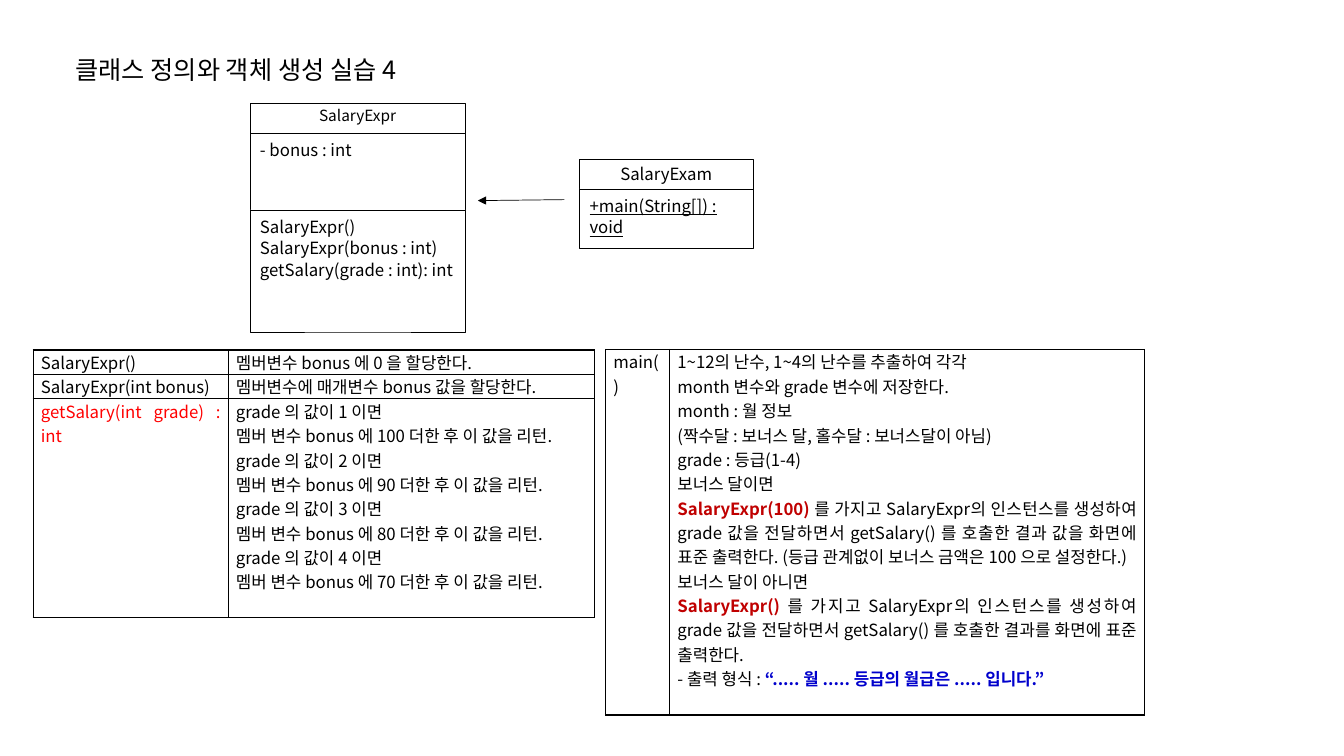
import dataclasses
from typing import Any

import lxml.etree
import pptx
import pptx.dml.color
import pptx.enum.shapes
import pptx.enum.text
import pptx.oxml.ns
import pptx.util

Pt = pptx.util.Pt
qn = pptx.oxml.ns.qn
ALIGN = pptx.enum.text.PP_ALIGN
ANCHOR = pptx.enum.text.MSO_ANCHOR
FIT = pptx.enum.text.MSO_AUTO_SIZE


@dataclasses.dataclass(frozen=True)
class Theme:
    """Colours, font and sizes of the slide."""
    font: str = "Noto Sans CJK KR"
    ink: str = "000000"
    paper: str = "FFFFFF"
    changed: str = "FF0000"
    call: str = "C00000"
    output: str = "0000CC"
    title_size: float = 18
    body_size: float = 12
    box_line: float = 0.5
    grid_line: float = 1


THEME = Theme()


@dataclasses.dataclass(frozen=True)
class Span:
    """A stretch of text in one format."""
    text: str
    color: str = THEME.ink
    bold: bool = False
    underline: bool = False


Line = list[Span]


@dataclasses.dataclass(frozen=True)
class UmlClass:
    """A class box: its name above stacked (height, lines) compartments."""
    name: str
    left: float
    top: float
    width: float
    compartments: list[tuple[float, list[Line]]]


@dataclasses.dataclass(frozen=True)
class MethodTable:
    """A grid that explains methods, one row each."""
    left: float
    top: float
    widths: list[float]
    heights: list[float]
    rows: list[list[list[Line]]]


def plain(*texts: str, **style: Any) -> list[Line]:
    """Make one single-span line of each text."""
    return [[Span(text, **style)] for text in texts]


def assign(target: Any, values: dict[str, Any]) -> None:
    """Set the named attributes of the target."""
    for name, value in values.items():
        setattr(target, name, value)


def rgb(color: str) -> pptx.dml.color.RGBColor:
    """Turn a hex string into a colour."""
    return pptx.dml.color.RGBColor.from_string(color)


def write(frame: Any, lines: list[Line], size: float, layout: dict[str, Any]) -> None:
    """Fill a text frame with lines, all laid out alike."""
    for index, line in enumerate(lines):
        paragraph = frame.paragraphs[0] if index == 0 else frame.add_paragraph()
        assign(paragraph, layout)
        for span in line:
            run = paragraph.add_run()
            run.text = span.text
            assign(run.font, {"name": THEME.font, "size": Pt(size),
                              "bold": span.bold, "underline": span.underline})
            run.font.color.rgb = rgb(span.color)
            lxml.etree.SubElement(run.font._element, qn("a:ea"), typeface=THEME.font)


def draw_title(slide: Any, text: str) -> None:
    """Place and format the title placeholder."""
    title = slide.shapes.title
    assign(title, {"left": Pt(46.8), "top": Pt(35.3), "width": Pt(287.3), "height": Pt(28.8)})
    assign(title.text_frame, {"word_wrap": False, "auto_size": FIT.NONE,
                              "vertical_anchor": ANCHOR.MIDDLE})
    write(title.text_frame, plain(text), THEME.title_size, {"alignment": ALIGN.LEFT})


def draw_class(slide: Any, uml: UmlClass) -> None:
    """Stack the name box and the compartments of a class."""
    top = uml.top
    header = (21.2, plain(uml.name))
    for index, (height, lines) in enumerate([header, *uml.compartments]):
        box = slide.shapes.add_shape(pptx.enum.shapes.MSO_SHAPE.RECTANGLE,
                                     Pt(uml.left), Pt(top), Pt(uml.width), Pt(height))
        box.shadow.inherit = False
        box.fill.solid()
        box.fill.fore_color.rgb = rgb(THEME.paper)
        box.line.color.rgb = rgb(THEME.ink)
        box.line.width = Pt(THEME.box_line)
        assign(box.text_frame, {"word_wrap": True, "vertical_anchor": ANCHOR.TOP,
                                "auto_size": FIT.TEXT_TO_FIT_SHAPE})
        layout = {"alignment": ALIGN.LEFT if index else ALIGN.CENTER, "line_spacing": 1.07}
        write(box.text_frame, lines, THEME.body_size, layout)
        top += height


def draw_use(slide: Any, start: tuple[float, float], end: tuple[float, float]) -> None:
    """Draw the arrow from the using class to the used one."""
    arrow = slide.shapes.add_connector(pptx.enum.shapes.MSO_CONNECTOR.STRAIGHT,
                                       *map(Pt, start + end))
    arrow.line.color.rgb = rgb(THEME.ink)
    arrow.line.width = Pt(THEME.box_line)
    properties = arrow._element.spPr
    lxml.etree.SubElement(properties.find(qn("a:ln")), qn("a:tailEnd"), type="triangle")
    lxml.etree.SubElement(properties, qn("a:effectLst"))


def draw_borders(cell: Any) -> None:
    """Rule all four sides of a cell."""
    properties = cell._tc.get_or_add_tcPr()
    for side in ("a:lnL", "a:lnR", "a:lnT", "a:lnB"):
        border = lxml.etree.SubElement(properties, qn(side), w=str(Pt(THEME.grid_line)))
        fill = lxml.etree.SubElement(border, qn("a:solidFill"))
        lxml.etree.SubElement(fill, qn("a:srgbClr"), val=THEME.ink)


def draw_table(slide: Any, methods: MethodTable) -> None:
    """Draw a ruled, unfilled table."""
    table = slide.shapes.add_table(
        len(methods.rows), len(methods.widths), Pt(methods.left), Pt(methods.top),
        Pt(sum(methods.widths)), Pt(sum(methods.heights))).table
    assign(table, {"first_row": False, "horz_banding": False})
    for column, width in zip(table.columns, methods.widths):
        column.width = Pt(width)
    for row, height, contents in zip(table.rows, methods.heights, methods.rows):
        row.height = Pt(height)
        for cell, lines in zip(row.cells, contents):
            assign(cell, {"margin_left": Pt(5.4), "margin_right": Pt(5.4),
                          "margin_top": 0, "margin_bottom": 0})
            draw_borders(cell)
            cell.fill.background()
            write(cell.text_frame, lines, THEME.body_size, {"alignment": ALIGN.JUSTIFY})


RAISES = [text for grade, raise_ in enumerate((100, 90, 80, 70), 1)
          for text in (f"grade 의 값이 {grade} 이면",
                       f"멤버 변수 bonus 에 {raise_} 더한 후 이 값을 리턴.")]
CREATE = "를 가지고 SalaryExpr의 인스턴스를 생성하여 grade 값을 전달하면서 getSalary() 를 호출한 "

CLASSES = [
    UmlClass("SalaryExpr", 178.6, 74, 153.8, [
        (54.8, plain("- bonus : int")),
        (87.2, plain("SalaryExpr()", "SalaryExpr(bonus : int)", "getSalary(grade : int): int"))]),
    UmlClass("SalaryExam", 414, 113.8, 123.8, [
        (42.4, plain("+main(String[]) : void", underline=True))]),
]
TABLES = [
    MethodTable(23.8, 250, [139.3, 261.3], [17.4, 17.4, 156.5], [
        [plain("SalaryExpr()"), plain("멤버변수 bonus 에 0 을 할당한다.")],
        [plain("SalaryExpr(int bonus)"), plain("멤버변수에 매개변수 bonus 값을 할당한다.")],
        [plain("getSalary(int grade) : int", color=THEME.changed), plain(*RAISES)]]),
    MethodTable(432.7, 249.6, [45.8, 339], [261.2], [[plain("main()"), [
        *plain("1~12의 난수, 1~4의 난수를 추출하여 각각",
               "month 변수와 grade 변수에 저장한다.",
               "month : 월 정보",
               "(짝수달 : 보너스 달, 홀수달 : 보너스달이 아님)",
               "grade : 등급(1-4)",
               "보너스 달이면"),
        [Span("SalaryExpr(100) ", THEME.call, bold=True),
         Span(CREATE + "결과 값을 화면에 표준 출력한다. "
              "(등급 관계없이 보너스 금액은 100 으로 설정한다.)")],
        *plain("보너스 달이 아니면"),
        [Span("SalaryExpr() ", THEME.call, bold=True),
         Span(CREATE + "결과를 화면에 표준 출력한다.")],
        [Span("- 출력 형식 : "),
         Span("“..... 월 ..... 등급의 월급은 ..... 입니다.”", THEME.output, bold=True)]]]]),
]

deck = pptx.Presentation()
assign(deck, {"slide_width": Pt(960), "slide_height": Pt(540)})
lesson = deck.slides.add_slide(deck.slide_layouts.get_by_name("Title Only"))
draw_title(lesson, "클래스 정의와 객체 생성 실습 4")
for methods in TABLES:
    draw_table(lesson, methods)
for uml in CLASSES:
    draw_class(lesson, uml)
draw_use(lesson, (403.2, 142.6), (341.3, 143.3))
deck.save("out.pptx")
